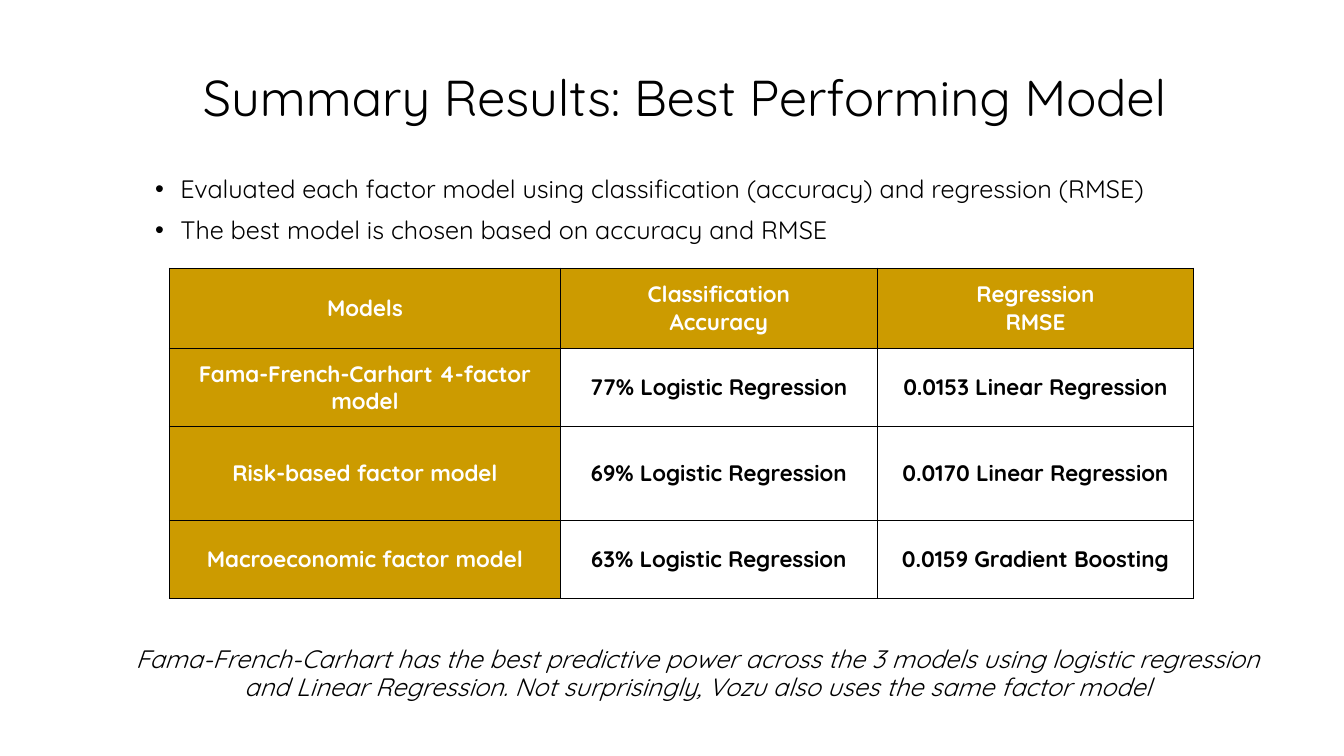
"""Build the summary slide on the best performing factor model."""
from lxml.etree import SubElement
from pptx import Presentation
from pptx.dml.color import RGBColor
from pptx.enum.text import MSO_ANCHOR, PP_ALIGN
from pptx.oxml.ns import qn
from pptx.util import Inches, Pt

BLACK = RGBColor(0x00, 0x00, 0x00)
WHITE = RGBColor(0xFF, 0xFF, 0xFF)
GOLD = RGBColor(0xCC, 0x9B, 0x00)


def write(frame, text, size=18, color=BLACK, bold=False, italic=False,
          align=PP_ALIGN.CENTER, space=0.9, before=0, bullet=False):
    frame.text = text
    for para in frame.paragraphs:
        para.alignment = align
        para.line_spacing = space
        para.space_before = Pt(before)
        if bullet:
            props = para._p.get_or_add_pPr()
            props.set("marL", str(Inches(0.25)))
            props.set("indent", str(Inches(-0.25)))
            SubElement(props, qn("a:buFont"), typeface="Arial")
            SubElement(props, qn("a:buChar"), char="•")
        for run in para.runs:
            font = run.font
            font.name = "Quicksand"
            font.size = Pt(size)
            font.bold = bold
            font.italic = italic
            font.color.rgb = color


def border(cell):
    props = cell._tc.get_or_add_tcPr()
    for side in ("a:lnL", "a:lnR", "a:lnT", "a:lnB"):
        line = SubElement(props, qn(side), w=str(Pt(0.75)))
        fill = SubElement(line, qn("a:solidFill"))
        SubElement(fill, qn("a:srgbClr"), val=str(BLACK))


deck = Presentation()
deck.slide_width = Inches(13.33)
deck.slide_height = Inches(7.5)
slide = deck.slides.add_slide(deck.slide_layouts[5])

title = slide.shapes.title
title.left, title.top = Inches(1.8), Inches(0.67)
title.width, title.height = Inches(9.98), Inches(0.65)
write(title.text_frame, "Summary Results: Best Performing Model", size=36)
title.text_frame.word_wrap = False

rows = [
    ("Models", "Classification\nAccuracy", "Regression\nRMSE"),
    ("Fama-French-Carhart 4-factor model", "77% Logistic Regression",
     "0.0153 Linear Regression"),
    ("Risk-based factor model", "69% Logistic Regression",
     "0.0170 Linear Regression"),
    ("Macroeconomic factor model", "63% Logistic Regression",
     "0.0159 Gradient Boosting"),
]
table = slide.shapes.add_table(
    4, 3, Inches(1.68), Inches(2.66), Inches(10.16), Inches(3.28)).table
table.first_row = False
table.horz_banding = False
for col, width in zip(table.columns, (3.88, 3.14, 3.14)):
    col.width = Inches(width)
for row, height in zip(table.rows, (0.8, 0.77, 0.93, 0.78)):
    row.height = Inches(height)

for r, texts in enumerate(rows):
    for c, text in enumerate(texts):
        cell = table.cell(r, c)
        head = r == 0 or c == 0
        border(cell)
        if head:
            cell.fill.solid()
            cell.fill.fore_color.rgb = GOLD
        else:
            cell.fill.background()
        cell.vertical_anchor = MSO_ANCHOR.MIDDLE
        cell.margin_left = cell.margin_right = Inches(0.1)
        cell.margin_top = cell.margin_bottom = Inches(0.1)
        write(cell.text_frame, text, size=16, bold=True, space=1.0,
              color=WHITE if head else BLACK)

note = slide.shapes.add_textbox(
    Inches(1.17), Inches(6.37), Inches(11.5), Inches(0.61)).text_frame
note.word_wrap = True
write(note, "Fama-French-Carhart has the best predictive power across the 3 "
      "models using logistic regression and Linear Regression. Not "
      "surprisingly, Vozu also uses the same factor model",
      italic=True, before=10)

points = slide.shapes.add_textbox(
    Inches(1.44), Inches(1.7), Inches(11.89), Inches(1.13)).text_frame
points.word_wrap = True
write(points, "Evaluated each factor model using classification (accuracy) "
      "and regression (RMSE)\n"
      "The best model is chosen based on accuracy and RMSE",
      align=PP_ALIGN.LEFT, before=10, bullet=True)

deck.save("out.pptx")
